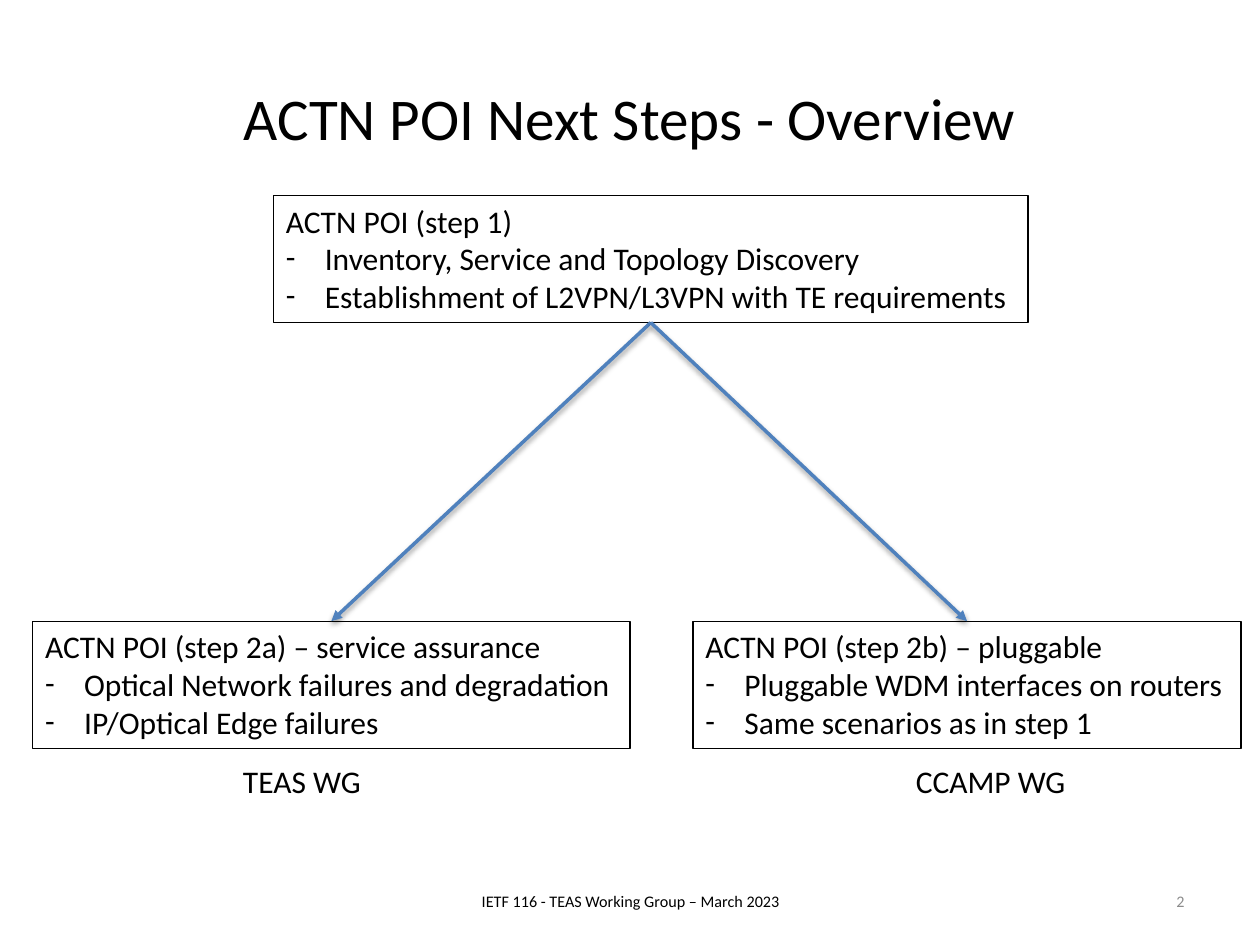
from lxml.etree import SubElement
from pptx import Presentation
from pptx.dml.color import RGBColor
from pptx.enum.shapes import MSO_CONNECTOR
from pptx.enum.text import MSO_ANCHOR, MSO_AUTO_SIZE, PP_ALIGN
from pptx.oxml import parse_xml
from pptx.oxml.ns import nsdecls, qn
from pptx.util import Inches, Pt

BOTTOM, TOP = 2, 0


def rgb(color):
    """Turn a hex string into a colour."""
    return RGBColor.from_string(color)


def place(sp, left, top, width, height):
    """Set the position and size of a shape in inches."""
    sp.left, sp.top = Inches(left), Inches(top)
    sp.width, sp.height = Inches(width), Inches(height)


def write(p, text, size=18, color="000000", align=PP_ALIGN.LEFT):
    """Write formatted text into a paragraph."""
    p.alignment = align
    r = p.add_run()
    r.text = text
    r.font.name = "Calibri"
    r.font.size = Pt(size)
    r.font.color.rgb = rgb(color)


def add_dash(p):
    """Give a paragraph a hanging dash bullet."""
    pPr = p._p.get_or_add_pPr()
    pPr.set("marL", str(Inches(0.31)))
    pPr.set("indent", str(-Inches(0.31)))
    SubElement(pPr, qn("a:buFont"), typeface="Calibri")
    SubElement(pPr, qn("a:buChar"), char="-")


def add_label(s, text, at, fit=True, **style):
    """Add a text box, either fitted to its text or centred vertically."""
    sp = s.shapes.add_textbox(*map(Inches, at))
    tf = sp.text_frame
    tf.word_wrap = not fit
    if fit:
        tf.auto_size = MSO_AUTO_SIZE.SHAPE_TO_FIT_TEXT
    else:
        tf.vertical_anchor = MSO_ANCHOR.MIDDLE
    write(tf.paragraphs[0], text, **style)
    return sp


def add_step(s, heading, items, at):
    """Add an outlined box with a heading and dashed items."""
    sp = add_label(s, heading, at)
    sp.line.color.rgb = rgb("000000")
    sp.line.width = Pt(0.75)
    for item in items:
        p = sp.text_frame.add_paragraph()
        write(p, item)
        add_dash(p)
    return sp


def add_arrow(s, source, target):
    """Connect the bottom of one box to the top of another."""
    c = s.shapes.add_connector(MSO_CONNECTOR.STRAIGHT, 0, 0, 0, 0)
    c.begin_connect(source, BOTTOM)
    c.end_connect(target, TOP)
    c.line.color.rgb = rgb("4F81BD")
    c.line.width = Pt(2)
    SubElement(c.line._get_or_add_ln(), qn("a:tailEnd"), type="triangle")
    c._element.spPr.append(parse_xml(
        f'<a:effectLst {nsdecls("a")}>'
        f'<a:outerShdw blurRad="{Pt(3.1)}" dist="{Pt(1.6)}" dir="5400000" rotWithShape="0">'
        '<a:srgbClr val="000000"><a:alpha val="38000"/></a:srgbClr>'
        '</a:outerShdw></a:effectLst>'))


def main():
    """Build the overview slide."""
    prs = Presentation()
    prs.slide_width, prs.slide_height = Inches(10), Inches(7.5)
    s = prs.slides.add_slide(prs.slide_layouts[5])

    title = s.shapes.title
    place(title, 0.5, 0.3, 9, 1.25)
    title.text_frame.vertical_anchor = MSO_ANCHOR.MIDDLE
    write(title.text_frame.paragraphs[0], "ACTN POI Next Steps - Overview",
          size=33.8, align=PP_ALIGN.CENTER)

    add_label(s, "IETF 116 - TEAS Working Group – March 2023", (3.42, 6.95, 3.17, 0.4),
              fit=False, size=9.2, align=PP_ALIGN.CENTER)
    add_label(s, "2", (7.17, 6.95, 2.33, 0.4),
              fit=False, size=9.2, color="8C8C8C", align=PP_ALIGN.RIGHT)

    first = add_step(s, "ACTN POI (step 1)",
                     ["Inventory, Service and Topology Discovery",
                      "Establishment of L2VPN/L3VPN with TE requirements"],
                     (2.17, 1.55, 5.99, 1.01))
    assurance = add_step(s, "ACTN POI (step 2a) – service assurance",
                         ["Optical Network failures and degradation",
                          "IP/Optical Edge failures"],
                         (0.26, 4.93, 4.74, 1.01))
    pluggable = add_step(s, "ACTN POI (step 2b) – pluggable",
                         ["Pluggable WDM interfaces on routers",
                          "Same scenarios as in step 1"],
                         (5.5, 4.93, 4.35, 1.01))
    for target in (assurance, pluggable):
        add_arrow(s, first, target)

    add_label(s, "TEAS WG", (1.83, 6, 1.14, 0.4))
    add_label(s, "CCAMP WG", (7.17, 6, 1.4, 0.4))
    prs.save("out.pptx")


main()
